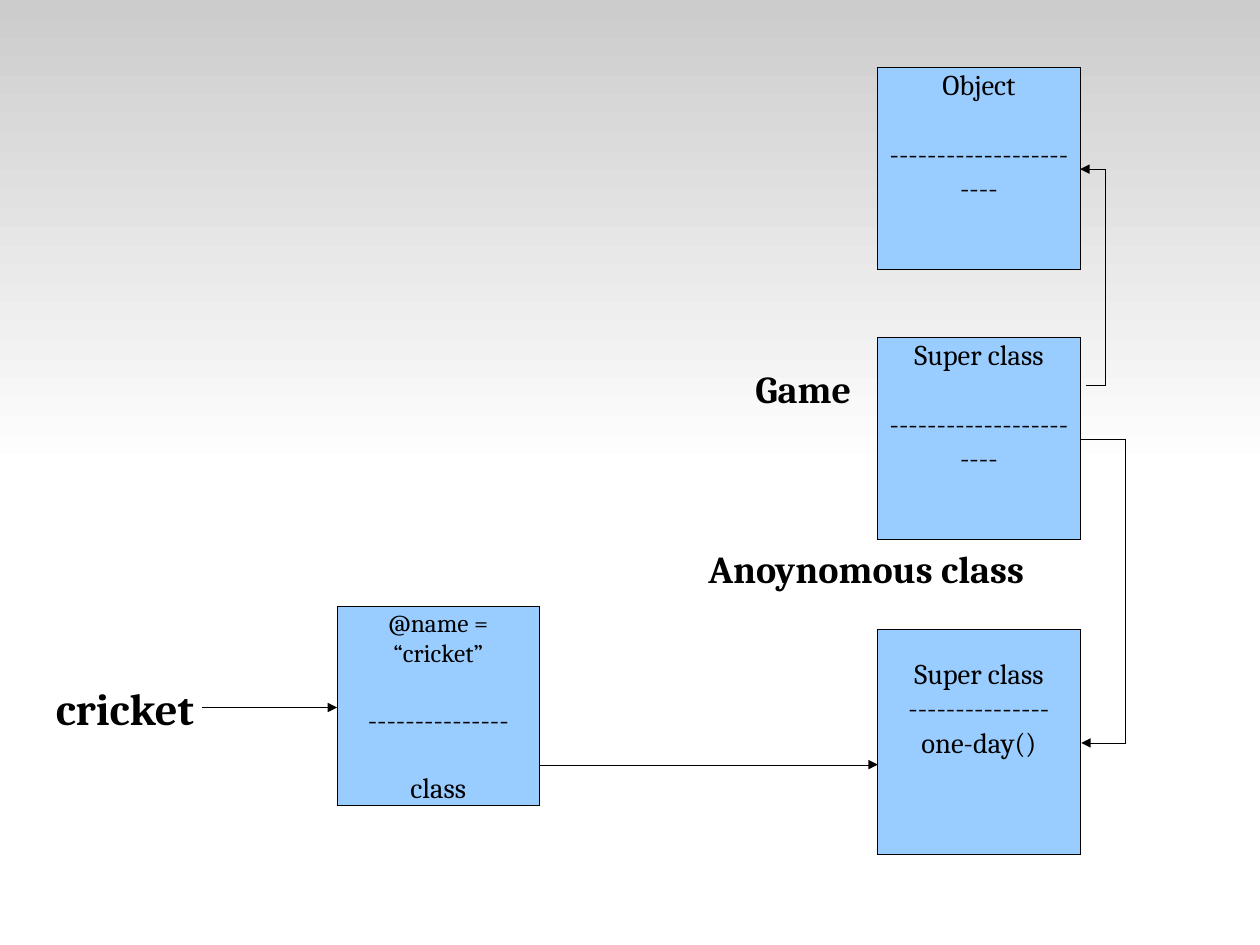
from dataclasses import dataclass

from lxml import etree
from pptx import Presentation
from pptx.dml.color import RGBColor
from pptx.enum.shapes import MSO_CONNECTOR, MSO_SHAPE
from pptx.enum.text import MSO_ANCHOR, PP_ALIGN
from pptx.oxml.ns import qn
from pptx.util import Inches, Pt

RECT = MSO_SHAPE.RECTANGLE
STRAIGHT, ELBOW = MSO_CONNECTOR.STRAIGHT, MSO_CONNECTOR.ELBOW
TOP = MSO_ANCHOR.TOP
LEFT, CENTER = PP_ALIGN.LEFT, PP_ALIGN.CENTER


@dataclass(frozen=True)
class Theme:
    font: str = "Cambria"
    ink: RGBColor = RGBColor(0, 0, 0)
    box: RGBColor = RGBColor(0x99, 0xCC, 0xFF)
    shade: RGBColor = RGBColor(0xCC, 0xCC, 0xCC)
    paper: RGBColor = RGBColor(0xFF, 0xFF, 0xFF)
    small: int = 16
    body: int = 18
    label: int = 24
    title: int = 28
    gap: float = 21.5  # one body line
    hairline: float = 0.01


THEME = Theme()
WIDTH, HEIGHT = 28 / 2.54, 21 / 2.54  # 28 by 21 cm
BOX_W = 1.77
CLASS_X = 7.68
CLASS_RIGHT = CLASS_X + BOX_W
OBJECT_X = 2.95


def write(p, text, size=THEME.body, bold=False, align=LEFT, before=0):
    p.alignment = align
    if before:
        p.space_before = Pt(before)
    r = p.add_run()
    r.text = text
    f = r.font
    f.name, f.size, f.bold = THEME.font, Pt(size), bold
    f.color.rgb = THEME.ink


def add_backdrop(s, x, y, w, h):
    sp = s.shapes.add_shape(RECT, Inches(x), Inches(y), Inches(w), Inches(h))
    sp.shadow.inherit = False
    sp.line.fill.background()
    sp.fill.gradient()
    sp.fill.gradient_angle = 270
    for stop, color in zip(sp.fill.gradient_stops, (THEME.shade, THEME.paper)):
        stop.color.rgb = color


def add_box(s, x, y, w, h, lines, top=0):
    """lines: (text, size, space before) for each paragraph."""
    sp = s.shapes.add_shape(RECT, Inches(x), Inches(y), Inches(w), Inches(h))
    sp.shadow.inherit = False
    sp.fill.solid()
    sp.fill.fore_color.rgb = THEME.box
    sp.line.color.rgb = THEME.ink
    sp.line.width = Pt(THEME.hairline)
    tf = sp.text_frame
    tf.word_wrap = True
    tf.vertical_anchor = TOP
    tf.margin_top, tf.margin_bottom = Inches(top), 0
    for i, (text, size, before) in enumerate(lines):
        p = tf.add_paragraph() if i else tf.paragraphs[0]
        write(p, text, size=size, align=CENTER, before=before)


def add_label(s, x, y, w, h, text, size=THEME.label):
    tb = s.shapes.add_textbox(Inches(x), Inches(y), Inches(w), Inches(h))
    tf = tb.text_frame
    tf.word_wrap = True
    write(tf.paragraphs[0], text, size=size, bold=True)


def add_arrow(s, x1, y1, x2, y2, bend=None):
    """Straight arrow, or an elbow whose upright runs at x = bend."""
    kind = STRAIGHT if bend is None else ELBOW
    c = s.shapes.add_connector(kind, Inches(x1), Inches(y1), Inches(x2), Inches(y2))
    c.line.color.rgb = THEME.ink
    c.line.width = Pt(THEME.hairline)
    sp_pr = c._element.spPr
    if bend is not None:
        guides = sp_pr.find(qn("a:prstGeom")).get_or_add_avLst()
        ratio = round((bend - x1) / (x2 - x1) * 100000)
        etree.SubElement(guides, qn("a:gd"), name="adj1", fmla=f"val {ratio}")
    etree.SubElement(sp_pr.find(qn("a:ln")), qn("a:tailEnd"), type="triangle")
    etree.SubElement(sp_pr, qn("a:effectLst"))


def add_classes(s, x):
    """Column of class boxes with their labels."""
    for y, name in ((0.59, "Object"), (2.95, "Super class")):
        add_box(s, x, y, BOX_W, BOX_W,
                [(name, THEME.body, 0), ("-" * 23, THEME.body, THEME.gap)])
    add_box(s, x, 5.51, BOX_W, 1.97,
            [(text, THEME.body, 0)
             for text in ("Super class", "-" * 15, "one-day()")], top=0.23)
    add_label(s, x - 1.17, 3.15, 1.27, 0.55, "Game")
    add_label(s, x - 1.58, 4.72, 3.94, 0.55, "Anoynomous class")


def add_instance(s, x):
    """The cricket object and its variable."""
    add_box(s, x, 5.31, BOX_W, 1.74,
            [("@name = “cricket”", THEME.small, 0),
             ("-" * 15, THEME.body, THEME.gap),
             ("class", THEME.body, THEME.gap)])
    add_label(s, x - 2.56, 5.91, 1.57, 0.79, "cricket", size=THEME.title)


def add_links(s):
    add_arrow(s, 1.77, 6.19, OBJECT_X, 6.19)
    add_arrow(s, OBJECT_X + BOX_W, 6.69, CLASS_X, 6.69)
    add_arrow(s, CLASS_RIGHT, 3.84, CLASS_RIGHT + 0.01, 6.5, bend=9.85)
    add_arrow(s, CLASS_RIGHT + 0.05, 3.37, CLASS_RIGHT, 1.48, bend=9.67)


def main():
    prs = Presentation()
    prs.slide_width = Inches(WIDTH)
    prs.slide_height = Inches(HEIGHT)
    s = prs.slides.add_slide(prs.slide_layouts[6])
    add_backdrop(s, 0, 0, WIDTH, HEIGHT / 2)
    add_instance(s, OBJECT_X)
    add_classes(s, CLASS_X)
    add_links(s)
    prs.save("out.pptx")


if __name__ == "__main__":
    main()
